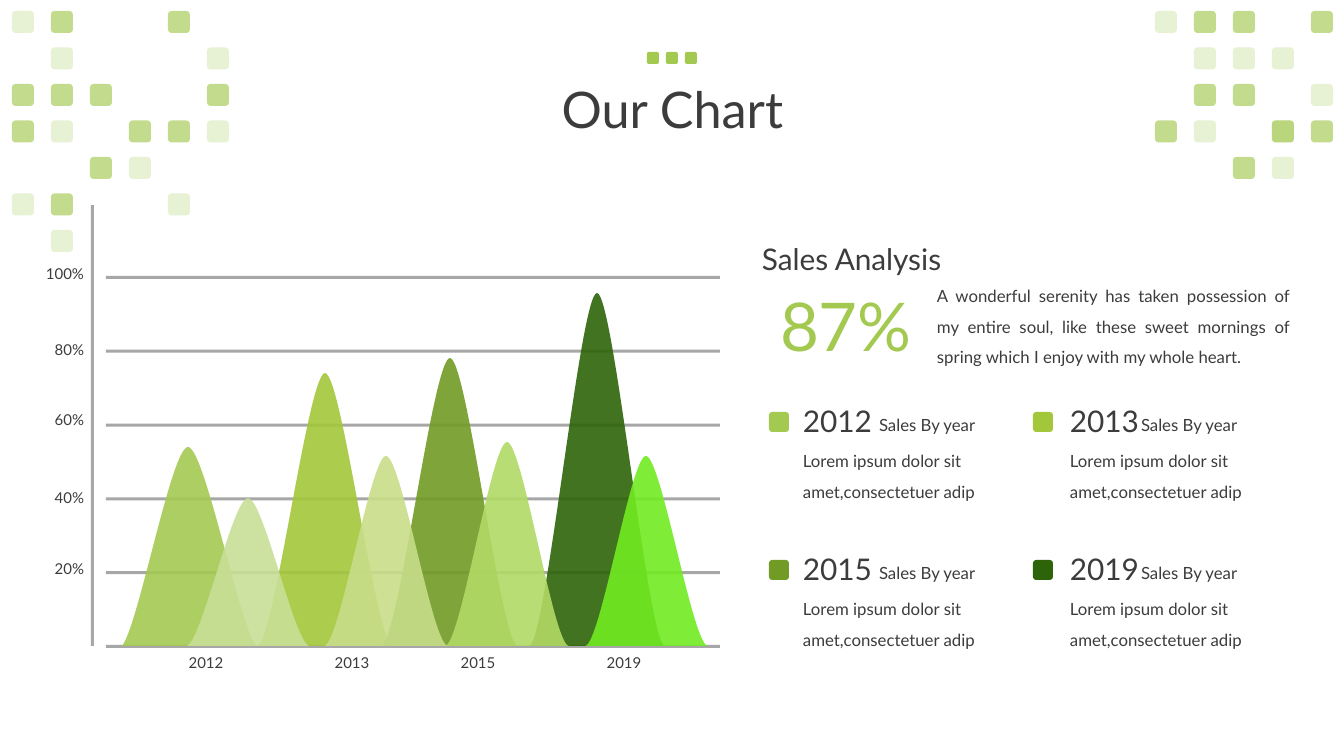
import dataclasses

import lxml.etree
import pptx
import pptx.dml.color
import pptx.enum.shapes
import pptx.enum.text
import pptx.oxml.ns
import pptx.util

SLIDE_WIDTH, SLIDE_HEIGHT = 1344, 756
EMU_PER_PX = 12192000 / SLIDE_WIDTH
ALIGN = pptx.enum.text.PP_ALIGN
RECTANGLE = pptx.enum.shapes.MSO_SHAPE.RECTANGLE
ROUNDED = pptx.enum.shapes.MSO_SHAPE.ROUNDED_RECTANGLE


@dataclasses.dataclass(frozen=True)
class Theme:
    font: str = "Lato"
    text: str = "3C3C3C"
    accent: str = "A3C951"
    grid: str = "9E9E9E"
    chart_opacity: int = 90
    title: float = 36
    figure: float = 48
    heading: float = 21.3
    body: float = 12
    label: float = 10.7


THEME = Theme()

BASELINE = 646
# left, peak, right, top, colour, lift of the outer curve handles
HUMPS = [
    (122, 188, 256, 447, "A3C951", 20),
    (529, 597, 665, 293, "2D6409", 0),
    (257, 325, 393, 373, "A3C73A", 0),
    (381, 450, 518, 358, "729B25", 0),
    (187, 248, 309, 498, "C8DF97", 6),
    (585, 646, 708, 456, "72EB22", 0),
    (445, 507, 569, 442, "B1DA65", 0),
    (324, 386, 448, 456, "C8DD89", 0),
]
PERCENT_LABELS = [("20%", 555), ("40%", 484), ("60%", 406), ("80%", 336), ("100%", 260)]
YEAR_LABELS = [("2012", 206), ("2013", 352), ("2015", 478), ("2019", 624)]

# year, colour, marker left, year left, caption left, row offset
LEGEND = [
    ("2012", "A3C951", 769, 790, 866, 0),
    ("2013", "A3C73A", 1033, 1057, 1128, 0),
    ("2015", "729B25", 769, 790, 866, 148),
    ("2019", "2D6409", 1033, 1057, 1128, 148),
]

# l is a light square, d a dark one, b a light one over a dark one
OPACITIES = {".": (), "l": (25,), "d": (65,), "b": (65, 25)}
LEFT_PATTERN = ["ld..d.", ".l...l", "ddd..d", "dl.ddl", "..dl..", "ld..l.", ".l...."]
RIGHT_PATTERN = ["ldd.d", ".lll.", ".dd.l", "dl.bd", "..dl."]


def px(length):
    return pptx.util.Emu(round(length * EMU_PER_PX))


def paint(shape, color, opacity=100):
    shape.shadow.inherit = False
    shape.line.fill.background()
    shape.fill.solid()
    shape.fill.fore_color.rgb = pptx.dml.color.RGBColor.from_string(color)
    if opacity < 100:
        color_element = shape.fill._xPr.find(".//" + pptx.oxml.ns.qn("a:srgbClr"))
        alpha = lxml.etree.SubElement(color_element, pptx.oxml.ns.qn("a:alpha"))
        alpha.set("val", str(opacity * 1000))


def add_block(shapes, kind, left, top, width, height, color, opacity=100):
    shape = shapes.add_shape(kind, px(left), px(top), px(width), px(height))
    paint(shape, color, opacity)


def write(frame, text, *, size, color=THEME.text, align=ALIGN.LEFT, spacing=None):
    paragraph = frame.paragraphs[0]
    paragraph.alignment = align
    paragraph.line_spacing = spacing
    run = paragraph.add_run()
    run.text = text
    run.font.name = THEME.font
    run.font.size = pptx.util.Pt(size)
    run.font.color.rgb = pptx.dml.color.RGBColor.from_string(color)


def add_text(slide, text, box, *, insets=(10, 5), **text_format):
    shape = slide.shapes.add_textbox(*map(px, box))
    frame = shape.text_frame
    frame.word_wrap = True
    frame.margin_left = frame.margin_right = px(insets[0])
    frame.margin_top = frame.margin_bottom = px(insets[1])
    write(frame, text, **text_format)


def bend_segments(shape):
    """Turn every three line segments of a freeform into one cubic curve."""
    qn = pptx.oxml.ns.qn
    lines = list(shape._element.iter(qn("a:lnTo")))
    for first in range(0, len(lines) - 2, 3):
        curve = lxml.etree.Element(qn("a:cubicBezTo"))
        lines[first].addprevious(curve)
        for line in lines[first:first + 3]:
            curve.append(line.find(qn("a:pt")))
            line.getparent().remove(line)


def add_hump(slide, left, peak, right, top, color, lift):
    low = BASELINE - lift
    handle = (peak - left) / 4
    points = [
        (left + handle, low), (peak - handle, top), (peak, top),
        (peak + handle, top), (right - handle, low), (right, BASELINE),
    ]
    builder = slide.shapes.build_freeform(px(left), px(BASELINE))
    builder.add_line_segments([(px(x), px(y)) for x, y in points], close=True)
    shape = builder.convert_to_shape()
    bend_segments(shape)
    paint(shape, color, THEME.chart_opacity)


def add_pattern(slide, left, top, rows):
    group = slide.shapes.add_group_shape()
    for row, marks in enumerate(rows):
        for column, mark in enumerate(marks):
            for opacity in OPACITIES[mark]:
                add_block(group.shapes, ROUNDED, left + 39 * column,
                          top + 36.5 * row, 22, 22, THEME.accent, opacity)


def add_title(slide):
    title = slide.shapes.title
    title.left, title.top, title.width, title.height = map(px, (93, 39, 1159, 146))
    title.text_frame.vertical_anchor = pptx.enum.text.MSO_ANCHOR.MIDDLE
    write(title.text_frame, "Our Chart", size=THEME.title, align=ALIGN.CENTER, spacing=0.9)


def add_title_dots(slide):
    dots = slide.shapes.add_group_shape()
    for index in range(3):
        add_block(dots.shapes, ROUNDED, 647 + 19 * index, 52, 12, 12, THEME.accent)


def add_hump_chart(slide):
    for index in range(6):
        add_block(slide.shapes, RECTANGLE, 106, 276 + 73.8 * index, 614, 3,
                  THEME.grid, THEME.chart_opacity)
    add_block(slide.shapes, RECTANGLE, 91, 205, 3, 441, THEME.grid, THEME.chart_opacity)
    for hump in HUMPS:
        add_hump(slide, *hump)
    for text, top in PERCENT_LABELS:
        add_text(slide, text, (34, top, 60, 28), size=THEME.label, align=ALIGN.RIGHT)
    for text, center in YEAR_LABELS:
        add_text(slide, text, (center - 28, 649, 56, 28), size=THEME.label,
                 align=ALIGN.CENTER)


def add_legend_item(slide, year, color, marker_left, year_left, caption_left, offset):
    insets = (13, 7)
    add_block(slide.shapes, ROUNDED, marker_left, 412 + offset, 20, 20, color)
    add_text(slide, year, (year_left, 396 + offset, 120, 55),
             size=THEME.heading, insets=insets)
    add_text(slide, "Sales By year", (caption_left, 408 + offset, 149, 29),
             size=THEME.body, insets=insets)
    add_text(slide, "Lorem ipsum dolor sit amet,consectetuer adip",
             (year_left, 434 + offset, 220, 70),
             size=THEME.body, insets=insets, spacing=1.5)


def add_analysis(slide):
    for item in LEGEND:
        add_legend_item(slide, *item)
    add_text(slide, "Sales Analysis", (752, 236, 214, 46), size=THEME.heading)
    add_text(slide, "A wonderful serenity has taken possession of my entire soul, like "
             "these sweet mornings of spring which I enjoy with my whole heart.",
             (927, 271, 373, 98), size=THEME.body, align=ALIGN.JUSTIFY, spacing=1.5)
    add_text(slide, "87%", (770, 279, 154, 92), size=THEME.figure, color=THEME.accent)


def main():
    presentation = pptx.Presentation()
    presentation.slide_width = px(SLIDE_WIDTH)
    presentation.slide_height = px(SLIDE_HEIGHT)
    slide = presentation.slides.add_slide(presentation.slide_layouts[5])
    add_title(slide)
    add_hump_chart(slide)
    add_analysis(slide)
    add_pattern(slide, 12, 11, LEFT_PATTERN)
    add_pattern(slide, 1155, 11, RIGHT_PATTERN)
    add_title_dots(slide)
    presentation.save("out.pptx")


if __name__ == "__main__":
    main()
